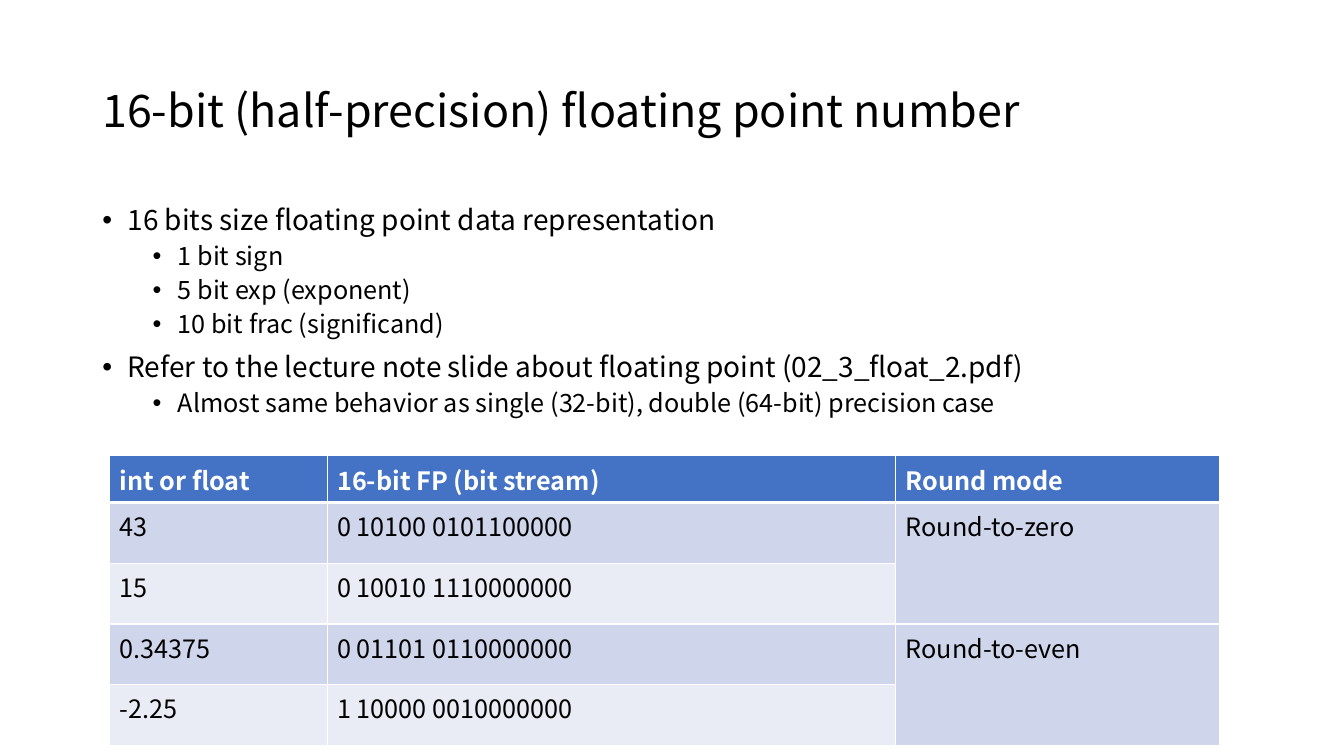
from dataclasses import dataclass

from lxml import etree
from pptx import Presentation
from pptx.dml.color import RGBColor
from pptx.enum.text import MSO_ANCHOR, MSO_AUTO_SIZE
from pptx.oxml.ns import qn
from pptx.util import Pt

TOP, MIDDLE = MSO_ANCHOR.TOP, MSO_ANCHOR.MIDDLE
FIT = MSO_AUTO_SIZE.TEXT_TO_FIT_SHAPE
FONT = "Noto Sans CJK KR"
BLACK, WHITE, BLUE = "000000", "FFFFFF", "4472C4"
BANDS = ("CFD5EA", "E9EBF5")


@dataclass
class Line:
    text: str
    size: int
    level: int = 0
    bullet: bool = True


@dataclass
class Box:
    left: float
    top: float
    width: float
    height: float
    anchor: MSO_ANCHOR
    lines: list[Line]


TITLE = Box(66, 28.8, 828, 104.4, MIDDLE, [
    Line("16-bit (half-precision) floating point number", 32, bullet=False),
])
BODY = Box(66, 143.8, 828, 342.6, TOP, [
    Line("16 bits size floating point data representation", 20),
    Line("1 bit sign", 18, 1),
    Line("5 bit exp (exponent)", 18, 1),
    Line("10 bit frac (significand)", 18, 1),
    Line("Refer to the lecture note slide about floating point (02_3_float_2.pdf)", 20),
    Line("Almost same behavior as single (32-bit), double (64-bit) precision case", 18, 1),
])
ROWS = [
    ("int or float", "16-bit FP (bit stream)", "Round mode"),
    ("43", "0 10100 0101100000", "Round-to-zero"),
    ("15", "0 10010 1110000000", ""),
    ("0.34375", "0 01101 0110000000", "Round-to-even"),
    ("-2.25", "1 10000 0010000000", ""),
]
WIDTHS = (155.5, 406.1, 231.1)
HEAD, ROW = 23.8, 43.4


def color(code: str) -> RGBColor:
    return RGBColor.from_string(code)


def style(para, size: int, code: str = BLACK, bold: bool = False) -> None:
    for run in para.runs:
        font = run.font
        font.name, font.size, font.bold = FONT, Pt(size), bold
        font.color.rgb = color(code)


def add_bullet(para, level: int) -> None:
    props = para._p.get_or_add_pPr()
    props.set("marL", str(Pt(18 + 36 * level)))
    props.set("indent", str(Pt(-18)))
    etree.SubElement(props, qn("a:buFont")).set("typeface", "Arial")
    etree.SubElement(props, qn("a:buChar")).set("char", "•")


def add_box(slide, box: Box) -> None:
    shape = slide.shapes.add_textbox(
        Pt(box.left), Pt(box.top), Pt(box.width), Pt(box.height))
    frame = shape.text_frame
    frame.word_wrap, frame.auto_size = True, FIT
    frame.vertical_anchor = box.anchor
    frame.text = "\n".join(line.text for line in box.lines)
    for para, line in zip(frame.paragraphs, box.lines):
        para.level, para.line_spacing = line.level, 0.9
        style(para, line.size)
        if line.bullet:
            para.space_before = Pt(5 if line.level else 10)
            add_bullet(para, line.level)


def add_edges(cell, row: int) -> None:
    props = cell._tc.get_or_add_tcPr()
    # The rule below the header is thicker than the rest
    thick = {"T": row == 1, "B": row == 0}
    for side in "LRTB":
        edge = etree.SubElement(props, qn(f"a:ln{side}"))
        edge.set("w", str(Pt(3 if thick.get(side) else 1)))
        fill = etree.SubElement(edge, qn("a:solidFill"))
        etree.SubElement(fill, qn("a:srgbClr")).set("val", WHITE)


def add_grid(slide) -> None:
    frame = slide.shapes.add_table(
        len(ROWS), len(WIDTHS), Pt(78.2), Pt(325.6),
        Pt(sum(WIDTHS)), Pt(HEAD + ROW * (len(ROWS) - 1)))
    table = frame.table
    for col, width in zip(table.columns, WIDTHS):
        col.width = Pt(width)
    for i, texts in enumerate(ROWS):
        head = i == 0
        table.rows[i].height = Pt(HEAD if head else ROW)
        for j, text in enumerate(texts):
            cell = table.cell(i, j)
            cell.text = text
            style(cell.text_frame.paragraphs[0], 18, WHITE if head else BLACK, head)
            add_edges(cell, i)
            cell.fill.solid()
            cell.fill.fore_color.rgb = color(BLUE if head else BANDS[(i - 1) % 2])
    # Each round mode covers two rows
    for i in (1, 3):
        table.cell(i, 2).merge(table.cell(i + 1, 2))


def main() -> None:
    deck = Presentation()
    deck.slide_width, deck.slide_height = Pt(960), Pt(540)
    slide = deck.slides.add_slide(deck.slide_layouts[6])
    # Title and bullet list
    for box in (TITLE, BODY):
        add_box(slide, box)
    # Examples
    add_grid(slide)
    deck.save("out.pptx")


if __name__ == "__main__":
    main()
